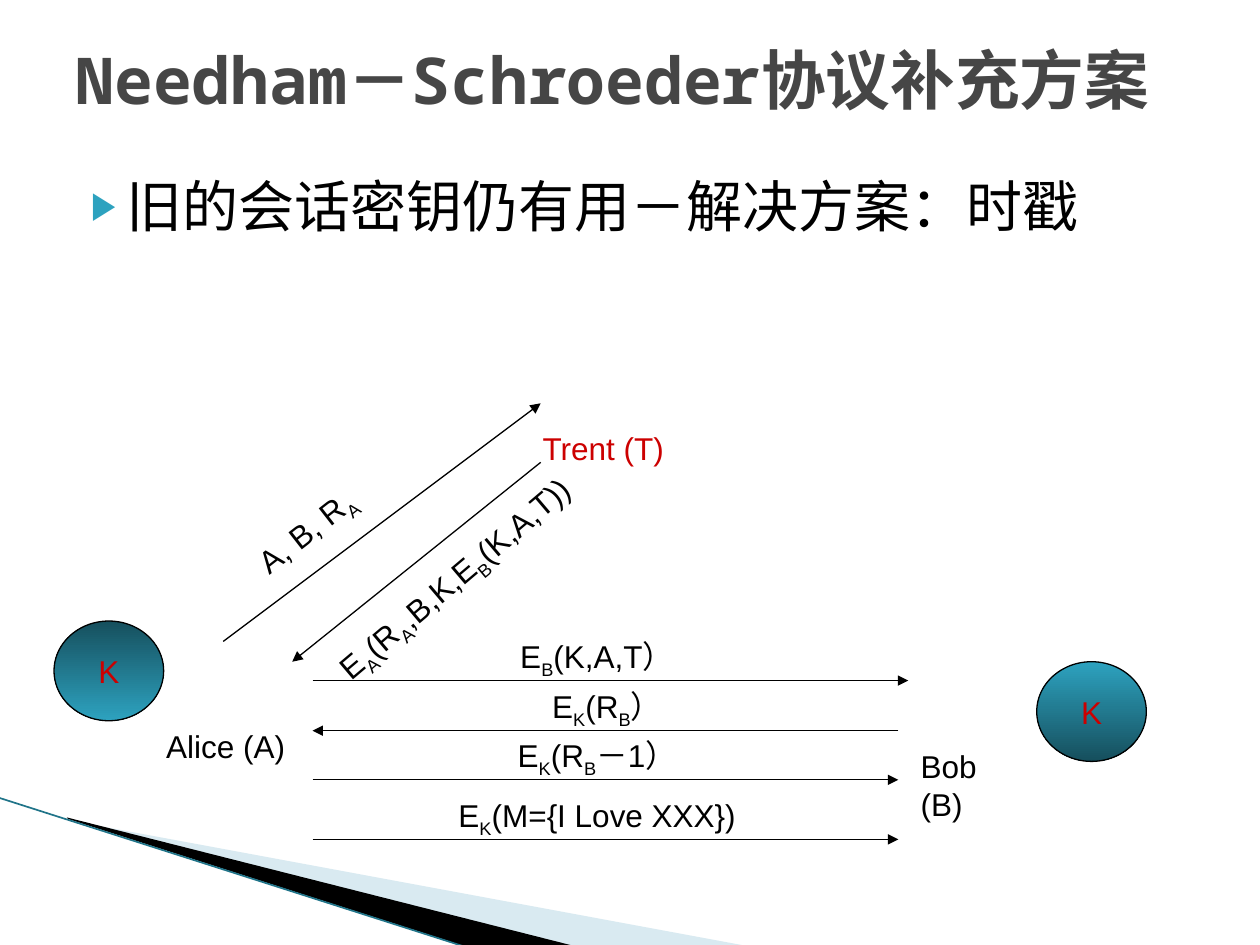
"""Build the slide on the supplemented Needham-Schroeder protocol."""
import pptx
import pptx.dml.color
import pptx.enum.shapes
import pptx.enum.text
import pptx.oxml.ns
import pptx.util
from lxml import etree

Cm, Pt = pptx.util.Cm, pptx.util.Pt
ALIGN, ANCHOR = pptx.enum.text.PP_ALIGN, pptx.enum.text.MSO_ANCHOR
BLACK, RED, TEAL, DARK_TEAL = "000000", "CC0000", "2DA2BF", "164F5D"

TITLE = "Needham－Schroeder协议补充方案"
BULLET = "旧的会话密钥仍有用－解决方案：时戳"
# Odd-numbered pieces of a message are subscripts.
NAMES = [
    ("Alice (A)", 3.1, 14.53, 3.2, BLACK),
    ("Bob (B)", 18.31, 14.94, 2.59, BLACK),
    ("Trent (T)", 10.69, 8.53, 3.2, RED),
]
KEYS = [(1.09, 12.52, DARK_TEAL, TEAL), (20.9, 13.34, TEAL, DARK_TEAL)]
TRENT_MESSAGES = [
    (["A, B, R", "A"], (4.7, 9.93, 3.61), 322, (4.5, 12.93), (10.9, 8.13)),
    (["E", "A", "(R", "A", ",B,K,E", "B", "(K,A,T))"],
     (5.89, 10.92, 7.06), 319.7, (10.9, 9.32), (5.89, 13.34)),
]
BOB_MESSAGES = [
    (["E", "B", "(K,A,T）"], 8.51, 13.72, 6.3, 18.31),
    (["E", "K", "(R", "B", "）"], 8.71, 14.73, 18.11, 6.3),
    (["E", "K", "(R", "B", "－1）"], 8.51, 15.72, 6.3, 18.11),
    (["E", "K", "(M={I Love XXX})"], 8.51, 16.92, 6.3, 18.11),
]
WEDGES = [
    ([(1.4, 16.54), (15.11, 19.08), (11.58, 19.08)], "A0CBDC", 40),
    ([(1.35, 16.48), (11.61, 19.08), (9.45, 19.1), (1.37, 16.51)], BLACK, 100),
]
LABEL_WIDTH, LABEL_HEIGHT, LABEL_RISE = 7.06, 1.02, 1


def rgb(code):
    return pptx.dml.color.RGBColor.from_string(code)


def add_element(parent, tag, **attributes):
    return etree.SubElement(parent, pptx.oxml.ns.qn(tag), attributes)


def write(para, pieces, size, color, font="Arial", bold=False):
    for index, piece in enumerate(pieces):
        span = para.add_run()
        span.text = piece
        span.font.name, span.font.size, span.font.bold = font, Pt(size), bold
        span.font.color.rgb = rgb(color)
        if index % 2:
            span.font._element.set("baseline", "-25000")


def place(shape, left, top, width, height):
    shape.left, shape.top = Cm(left), Cm(top)
    shape.width, shape.height = Cm(width), Cm(height)


def add_label(page, pieces, left, top, width, color=BLACK, align=ALIGN.LEFT, angle=0):
    box = page.shapes.add_textbox(Cm(left), Cm(top), Cm(width), Cm(LABEL_HEIGHT))
    box.rotation = angle
    box.text_frame.word_wrap = True
    para = box.text_frame.paragraphs[0]
    para.alignment = align
    write(para, pieces, 18, color)


def add_line(page, start, end, color=BLACK, width=0.75, arrow=True):
    line = page.shapes.add_connector(
        pptx.enum.shapes.MSO_CONNECTOR.STRAIGHT, *map(Cm, start + end))
    line.line.color.rgb, line.line.width = rgb(color), Pt(width)
    if arrow:
        add_element(line.line._get_or_add_ln(), "a:tailEnd", type="triangle")
    add_element(line._element.spPr, "a:effectLst")


def add_wedge(page, points, color, opacity):
    builder = page.shapes.build_freeform(*map(Cm, points[0]))
    builder.add_line_segments([(Cm(x), Cm(y)) for x, y in points[1:]])
    wedge = builder.convert_to_shape()
    wedge.shadow.inherit = False
    wedge.line.fill.background()
    wedge.fill.solid()
    wedge.fill.fore_color.rgb = rgb(color)
    if opacity < 100:
        paint = wedge._element.spPr.find(".//" + pptx.oxml.ns.qn("a:srgbClr"))
        add_element(paint, "a:alpha", val=str(opacity * 1000))


def add_key(page, left, top, *colors):
    key = page.shapes.add_shape(
        pptx.enum.shapes.MSO_SHAPE.OVAL, Cm(left), Cm(top), Cm(2.21), Cm(2.01))
    key.shadow.inherit = False
    key.fill.gradient()
    key.fill.gradient_angle = 270
    for stop, color in zip(key.fill.gradient_stops, colors):
        stop.color.rgb = rgb(color)
    key.line.color.rgb, key.line.width = rgb(BLACK), Pt(0.75)
    key.text_frame.word_wrap = False
    key.text_frame.vertical_anchor = ANCHOR.MIDDLE
    para = key.text_frame.paragraphs[0]
    para.alignment = ALIGN.CENTER
    write(para, ["K"], 18, RED)


def fill_placeholders(page):
    title, body = page.shapes.title, page.placeholders[1]
    place(title, 1.27, 0, 22.86, 3.18)
    place(body, 1.27, 3.33, 22.86, 13.36)
    for box, anchor in ((title, ANCHOR.MIDDLE), (body, ANCHOR.TOP)):
        box.text_frame.auto_size = pptx.enum.text.MSO_AUTO_SIZE.NONE
        box.text_frame.vertical_anchor = anchor
        box.text_frame.paragraphs[0].alignment = ALIGN.LEFT
    write(title.text_frame.paragraphs[0], [TITLE], 36.9, "464646", "Noto Sans Mono", True)
    para = body.text_frame.paragraphs[0]
    para.space_before = Pt(0)
    settings = para._p.get_or_add_pPr()
    settings.set("marL", str(Cm(1.02)))
    settings.set("indent", str(Cm(-0.71)))
    add_element(add_element(settings, "a:buClr"), "a:srgbClr", val=TEAL)
    add_element(settings, "a:buSzPct", val="68000")
    add_element(settings, "a:buChar", char="▶")
    write(para, [BULLET], 32, BLACK, "Noto Sans Mono")


def main():
    deck = pptx.Presentation()
    deck.slide_width, deck.slide_height = Cm(25.4), Cm(19.05)
    page = deck.slides.add_slide(deck.slide_layouts[1])
    for wedge in WEDGES:
        add_wedge(page, *wedge)
    add_line(page, (-0.03, 16.08), (9.42, 19.1), "207489", 0.95, arrow=False)
    fill_placeholders(page)
    for name, *spot, color in NAMES:
        add_label(page, [name], *spot, color)
    for pieces, spot, angle, start, end in TRENT_MESSAGES:
        add_line(page, start, end)
        add_label(page, pieces, *spot, angle=angle)
    for key in KEYS:
        add_key(page, *key)
    for pieces, left, level, start, end in BOB_MESSAGES:
        add_line(page, (start, level), (end, level))
        add_label(page, pieces, left, level - LABEL_RISE, LABEL_WIDTH, align=ALIGN.CENTER)
    deck.save("out.pptx")


if __name__ == "__main__":
    main()
